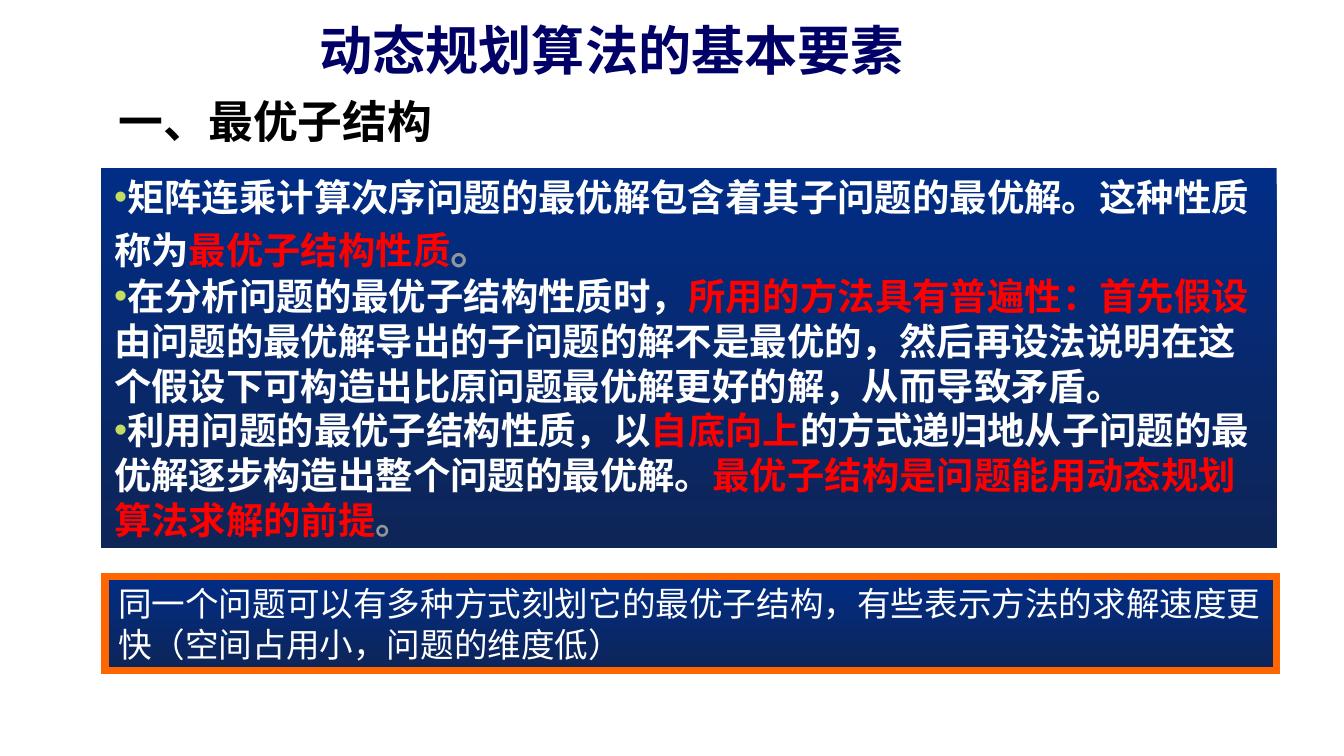
from lxml import etree
from pptx import Presentation
from pptx.dml.color import RGBColor
from pptx.enum import shapes, text
from pptx.oxml.ns import qn
from pptx.util import Inches, Pt

THEME = {
    "font": "Arial", "title_font": "Times New Roman",
    "navy": "000066", "black": "000000", "white": "FFFFFF", "red": "FF0000",
    "gray": "91969B", "bullet": "C4DC61", "border": "FF6600",
    "gradient": ("012D86", "0E2557"),
    "title": 28.5, "heading": 24, "body": 20, "note": 18,
}

# A paragraph is a list of runs: (wording, colour[, size])
TITLE = [[("动态规划算法的基本要素", "navy")]]
HEADING = [[("一、最优子结构", "black")]]
POINTS = [
    [("矩阵连乘计算次序问题的最优解包含着其子问题的最优解。这种性质称为", "white"),
     ("最优子结构性质", "red"),
     ("。", "gray", "heading")],
    [("在分析问题的最优子结构性质时，", "white"),
     ("所用的方法具有普遍性：首先假设", "red"),
     ("由问题的最优解导出的子问题的解不是最优的，然后再设法说明在这个假设下可构造出"
      "比原问题最优解更好的解，从而导致矛盾。", "white")],
    [("利用问题的最优子结构性质，以", "white"),
     ("自底向上", "red"),
     ("的方式递归地从子问题的最优解逐步构造出整个问题的最优解。", "white"),
     ("最优子结构是问题能用动态规划算法求解的前提", "red"),
     ("。", "gray")],
]
NOTE = [[("同一个问题可以有多种方式刻划它的最优子结构，有些表示方法的求解速度更快"
          "（空间占用小，问题的维度低）", "white")]]


def color(name):
    return RGBColor.from_string(THEME.get(name, name))


def add_bullet(paragraph):
    props = paragraph._p.get_or_add_pPr()
    tint = etree.SubElement(props, qn("a:buClr"))
    etree.SubElement(tint, qn("a:srgbClr"), val=THEME["bullet"])
    etree.SubElement(props, qn("a:buFont"), typeface=THEME["font"])
    etree.SubElement(props, qn("a:buChar"), char="•")


def write(shape, paragraphs, size, font="font", bold=True, bullets=False,
          align=text.PP_ALIGN.LEFT, **frame_format):
    frame = shape.text_frame
    frame_format = {"word_wrap": True, "vertical_anchor": text.MSO_ANCHOR.TOP,
                    **frame_format}
    for name, value in frame_format.items():
        setattr(frame, name, value)
    for i, runs in enumerate(paragraphs):
        paragraph = frame.add_paragraph() if i else frame.paragraphs[0]
        paragraph.alignment = align
        if bullets:
            add_bullet(paragraph)
        for wording, tint, *own_size in runs:
            run = paragraph.add_run()
            run.text = wording
            run_format = {"name": THEME[font], "bold": bold,
                          "size": Pt(THEME[own_size[0] if own_size else size])}
            for name, value in run_format.items():
                setattr(run.font, name, value)
            run.font.color.rgb = color(tint)


def add_label(slide, box):
    return slide.shapes.add_textbox(*map(Inches, box))


def add_panel(slide, box, border=None):
    """Add a rectangle shaded from top to bottom."""
    panel = slide.shapes.add_shape(shapes.MSO_SHAPE.RECTANGLE, *map(Inches, box))
    panel.shadow.inherit = False
    panel.fill.gradient()
    panel.fill.gradient_angle = 270
    for position, (stop, tint) in enumerate(
            zip(panel.fill.gradient_stops, THEME["gradient"])):
        stop.position = position
        stop.color.rgb = color(tint)
    if border:
        panel.line.color.rgb = color(border)
        panel.line.width = Pt(4)
        outline = panel.line._get_or_add_ln()
        etree.SubElement(outline, qn("a:miter"), lim="800000")
    else:
        panel.line.fill.background()
    return panel


def main():
    deck = Presentation()
    deck.slide_width = Inches(10)
    deck.slide_height = deck.slide_width * 9 // 16
    slide = deck.slides.add_slide(deck.slide_layouts[6])

    write(add_label(slide, (2.28, 0, 5.26, 0.65)), TITLE, "title",
          font="title_font", vertical_anchor=text.MSO_ANCHOR.BOTTOM)
    write(add_label(slide, (0.78, 0.65, 2.54, 0.5)), HEADING, "heading",
          align=text.PP_ALIGN.CENTER, word_wrap=False)
    write(add_panel(slide, (0.75, 1.25, 8.75, 2.83)), POINTS, "body", bullets=True)
    write(add_panel(slide, (0.78, 4.29, 8.72, 0.7), "border"), NOTE, "note", bold=False)
    deck.save("out.pptx")


if __name__ == "__main__":
    main()
